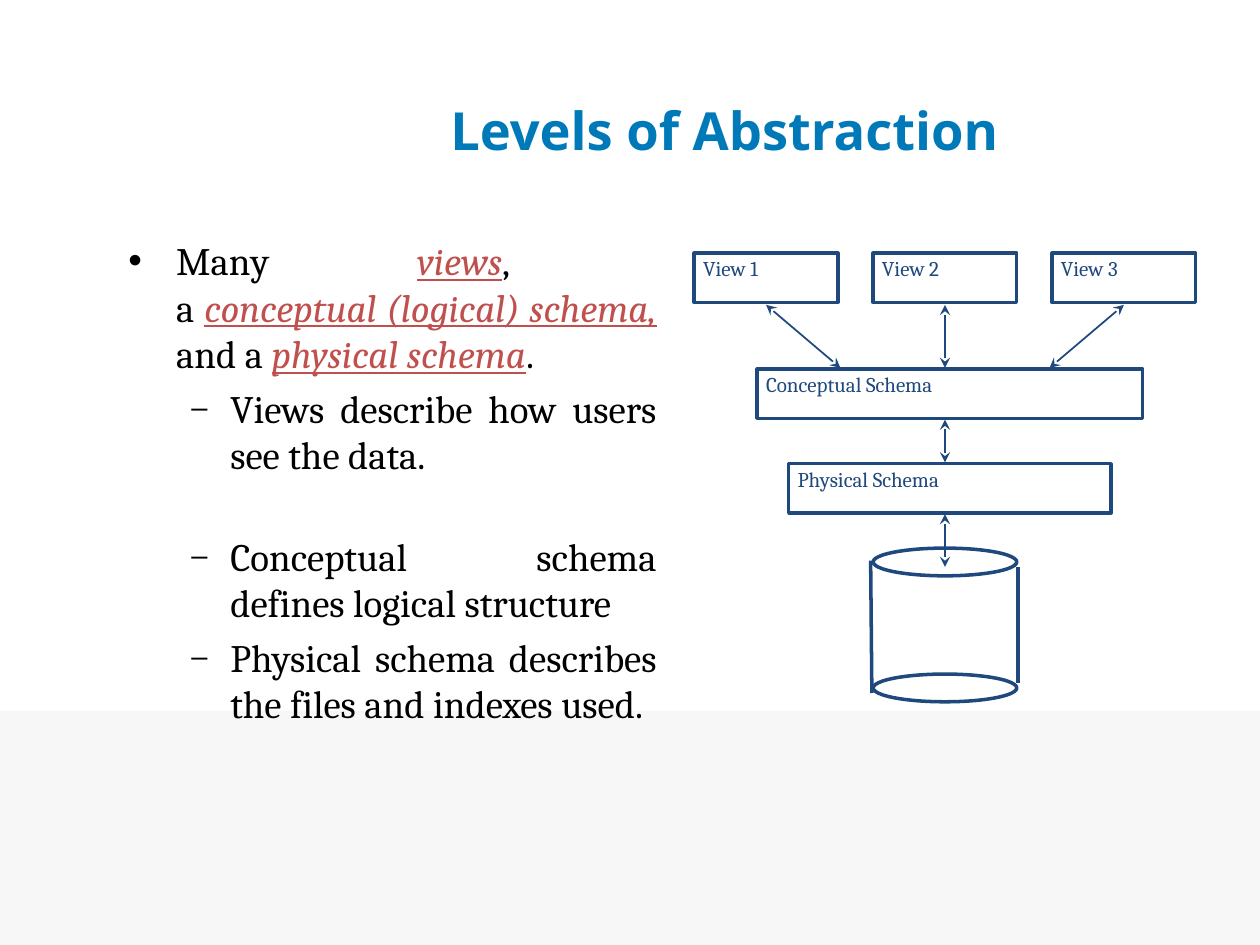
from dataclasses import dataclass
from typing import NamedTuple

from lxml.etree import SubElement
from pptx import Presentation
from pptx.dml.color import RGBColor
from pptx.enum.shapes import MSO_CONNECTOR, MSO_SHAPE
from pptx.enum.text import MSO_ANCHOR as Anchor, PP_ALIGN as Align
from pptx.oxml.ns import qn
from pptx.util import Inches, Pt


@dataclass(frozen=True)
class Theme:
    """Colours, fonts and type sizes of the slide."""
    title: RGBColor = RGBColor(0x00, 0x79, 0xB8)
    body: RGBColor = RGBColor(0, 0, 0)
    term: RGBColor = RGBColor(0xC0, 0x50, 0x4D)
    diagram: RGBColor = RGBColor(0x1F, 0x49, 0x7D)
    footer: RGBColor = RGBColor(0xF7, 0xF7, 0xF7)
    heading_font: str = "Open Sans"
    text_font: str = "Cambria"
    title_size: float = 30
    body_size: float = 22.2
    label_size: float = 12


class Box(NamedTuple):
    """A place on the slide, in inches."""
    left: float
    top: float
    width: float
    height: float


class Schema(NamedTuple):
    """A labelled level of the diagram."""
    label: str
    box: Box


class Link(NamedTuple):
    """A straight line between two points, in inches."""
    x1: float
    y1: float
    x2: float
    y2: float


class Point(NamedTuple):
    """A bullet point; each piece is a text and its style."""
    pieces: tuple
    level: int = 1
    gap_after: float = 0


THEME = Theme()
PLAIN, TERM, TERM_SPACE, BREAK = range(4)
AXIS = 7.5
VIEW_STEP = 1.42
BOX_HEIGHT = 0.39

POINTS = (
    Point((("Many ", PLAIN), ("views", TERM), (", ", PLAIN), ("", BREAK),
           ("a ", PLAIN), ("conceptual (logical) schema,", TERM),
           (" ", TERM_SPACE), ("and a ", PLAIN),
           ("physical schema", TERM), (".", PLAIN)), level=0),
    Point((("Views describe how users see the data.", PLAIN),), gap_after=26.7),
    Point((("Conceptual schema defines logical structure", PLAIN),)),
    Point((("Physical schema describes the files and indexes used.", PLAIN),)),
)


def centred(middle: float, top: float, width: float, height: float) -> Box:
    """Return a box centred on a vertical line."""
    return Box(middle - width / 2, top, width, height)


SCHEMAS = [
    Schema(f"View {i + 2}", centred(AXIS + i * VIEW_STEP, 2.01, 1.14, BOX_HEIGHT))
    for i in (-1, 0, 1)
] + [
    Schema("Conceptual Schema", centred(AXIS + 0.04, 2.93, 3.06, BOX_HEIGHT)),
    Schema("Physical Schema", centred(AXIS + 0.04, 3.68, 2.56, BOX_HEIGHT)),
]
MAPPINGS = [
    Link(AXIS + i * VIEW_STEP, 2.42, AXIS + i * 0.83, 2.92) for i in (-1, 0, 1)
] + [Link(AXIS, 3.33, AXIS, 3.67), Link(AXIS, 4.08, AXIS, 4.5)]
DISK_ENDS = [centred(AXIS, top, 1.14, 0.22) for top in (4.35, 5.35)]
DISK_SIDES = [Link(6.91, 4.45, 6.92, 5.5), Link(8.08, 4.5, 8.08, 5.42)]


def style(font, name: str, size: float, color: RGBColor, bold: bool = False) -> None:
    """Set the face, size, colour and weight of a font."""
    font.name, font.size, font.bold = name, Pt(size), bold
    font.color.rgb = color


def add_outline(slide, kind, box: Box):
    """Draw an unfilled shape in the diagram colour."""
    outline = slide.shapes.add_shape(kind, *map(Inches, box))
    outline.shadow.inherit = False
    outline.fill.background()
    outline.line.color.rgb = THEME.diagram
    outline.line.width = Pt(2)
    return outline


def add_schema(slide, schema: Schema) -> None:
    """Draw a level with its label at the top left."""
    frame = add_outline(slide, MSO_SHAPE.RECTANGLE, schema.box).text_frame
    frame.margin_left, frame.margin_top = Inches(0.07), Inches(0.02)
    frame.margin_right = frame.margin_bottom = 0
    frame.vertical_anchor = Anchor.TOP
    label = frame.paragraphs[0]
    label.text, label.alignment = schema.label, Align.LEFT
    style(label.font, THEME.text_font, THEME.label_size, THEME.diagram)


def add_link(slide, link: Link, width: float, arrows: bool = False) -> None:
    """Draw a line, with stealth heads at both ends if asked."""
    line = slide.shapes.add_connector(MSO_CONNECTOR.STRAIGHT, *map(Inches, link))
    line.line.color.rgb = THEME.diagram
    line.line.width = Pt(width)
    if arrows:
        for end in ("a:headEnd", "a:tailEnd"):
            SubElement(line.line._get_or_add_ln(), qn(end), type="stealth")
    SubElement(line._element.spPr, qn("a:effectLst"))


def add_frame(slide, box: Box):
    """Add a wrapping text box and return its text frame."""
    frame = slide.shapes.add_textbox(*map(Inches, box)).text_frame
    frame.word_wrap = True
    return frame


def add_title(slide) -> None:
    """Write the slide title."""
    frame = add_frame(slide, Box(1.5, 0.42, 8.5, 1.21))
    frame.vertical_anchor = Anchor.MIDDLE
    title = frame.paragraphs[0]
    title.text, title.alignment = "Levels of Abstraction", Align.CENTER
    style(title.font, THEME.heading_font, THEME.title_size, THEME.title, bold=True)


def set_bullet(paragraph, level: int) -> None:
    """Give a paragraph the indent and bullet of its level."""
    margin, hang, size, mark = ((0.38, 0.38, 100, "•"), (0.81, 0.31, 75, "–"))[level]
    paragraph.level = level
    props = paragraph._p.get_or_add_pPr()
    props.set("marL", str(Inches(margin)))
    props.set("indent", str(-Inches(hang)))
    SubElement(props, qn("a:buSzPct"), val=str(size * 1000))
    SubElement(props, qn("a:buFont"), typeface="Arial")
    SubElement(props, qn("a:buChar"), char=mark)


def add_points(slide) -> None:
    """Write the bullet points with their key terms marked."""
    frame = add_frame(slide, Box(0.92, 1.83, 4.39, 4.46))
    for index, point in enumerate(POINTS):
        paragraph = frame.add_paragraph() if index else frame.paragraphs[0]
        paragraph.alignment = Align.JUSTIFY
        paragraph.space_before = Pt(THEME.body_size * 0.2)
        paragraph.space_after = Pt(point.gap_after)
        set_bullet(paragraph, point.level)
        style(paragraph.font, THEME.text_font, THEME.body_size, THEME.body)
        for words, look in point.pieces:
            if look == BREAK:
                paragraph.add_line_break()
                continue
            run = paragraph.add_run()
            run.text = words
            if look != PLAIN:
                run.font.italic = True
                run.font.underline = look == TERM
                run.font.color.rgb = THEME.term


def build() -> None:
    """Build and save the slide."""
    deck = Presentation()
    deck.slide_width, deck.slide_height = Inches(10), Inches(7.5)
    slide = deck.slides.add_slide(deck.slide_layouts[6])
    footer = add_outline(slide, MSO_SHAPE.RECTANGLE, Box(0, 5.64, 10, 1.86))
    footer.fill.solid()
    footer.fill.fore_color.rgb = THEME.footer
    footer.line.fill.background()
    add_title(slide)
    add_points(slide)
    for end in DISK_ENDS:
        add_outline(slide, MSO_SHAPE.OVAL, end)
    for side in DISK_SIDES:
        add_link(slide, side, 2)
    for schema in SCHEMAS:
        add_schema(slide, schema)
    for mapping in MAPPINGS:
        add_link(slide, mapping, 1, arrows=True)
    deck.save("out.pptx")


build()
